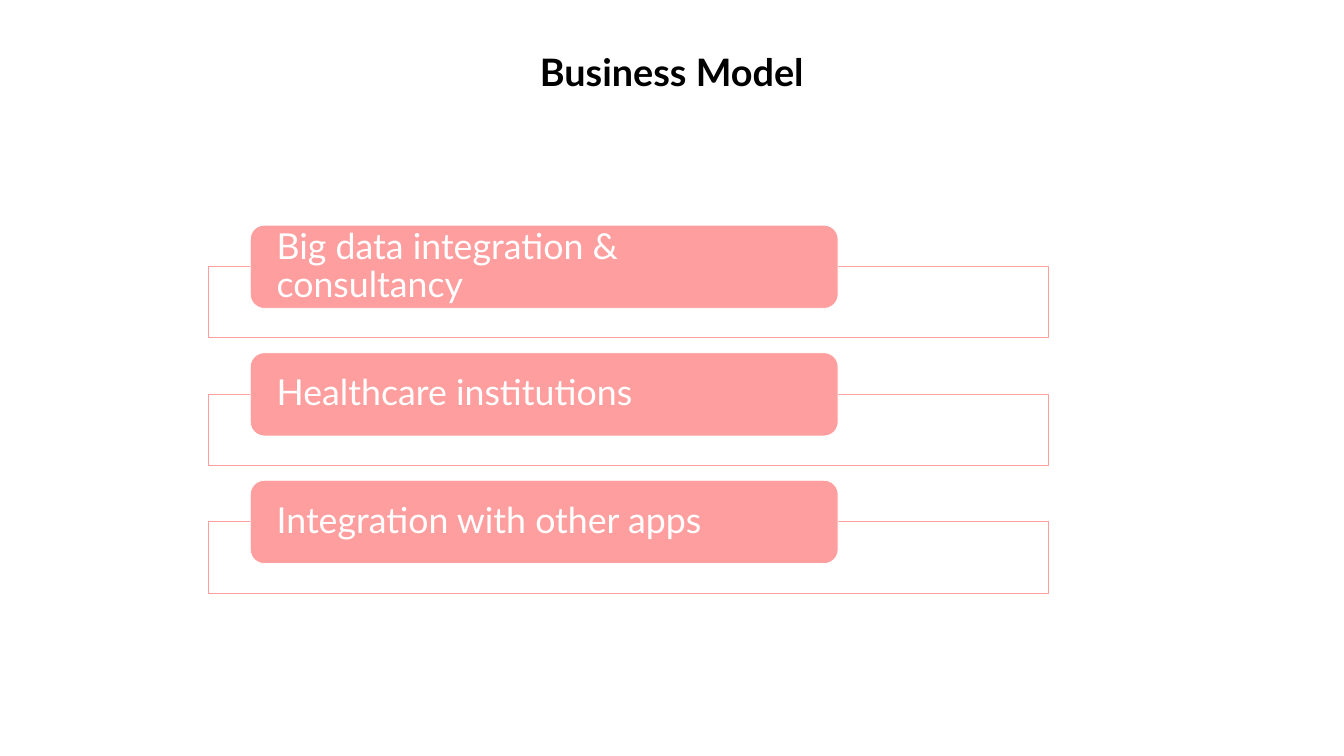
from pptx import Presentation
from pptx.dml.color import RGBColor
from pptx.enum.shapes import MSO_SHAPE
from pptx.enum.text import MSO_ANCHOR, PP_ALIGN
from pptx.util import Cm, Pt

PINK = RGBColor(0xFF, 0x9E, 0x9E)
WHITE = RGBColor(0xFF, 0xFF, 0xFF)
BLACK = RGBColor(0, 0, 0)

SOURCES = [
    "Big data integration & consultancy",
    "Healthcare institutions",
    "Integration with other apps",
]
FIRST_TOP = 11.35
ROW_PITCH = 6.43
FRAME_DROP = 2.09


def add_box(slide, kind, left, top, width, height, fill, line):
    shape = slide.shapes.add_shape(kind, Cm(left), Cm(top), Cm(width), Cm(height))
    shape.shadow.inherit = False
    shape.fill.solid()
    shape.fill.fore_color.rgb = fill
    shape.line.color.rgb = line
    shape.line.width = Pt(1)
    return shape


def set_text(paragraph, text, size, color, bold=False):
    paragraph.text = text
    paragraph.font.name = "Lato"
    paragraph.font.size = Pt(size)
    paragraph.font.bold = bold
    paragraph.font.color.rgb = color


presentation = Presentation()
presentation.slide_width = Cm(67.74)
presentation.slide_height = Cm(38.1)
slide = presentation.slides.add_slide(presentation.slide_layouts[6])

title = slide.shapes.add_textbox(Cm(1.55), Cm(2.34), Cm(64.62), Cm(2.57))
title.text_frame.word_wrap = True
paragraph = title.text_frame.paragraphs[0]
set_text(paragraph, "Business Model", 54, BLACK, bold=True)
paragraph.alignment = PP_ALIGN.CENTER

for row, source in enumerate(SOURCES):
    top = FIRST_TOP + row * ROW_PITCH
    add_box(slide, MSO_SHAPE.RECTANGLE, 10.52, top + FRAME_DROP, 42.32, 3.58, WHITE, PINK)
    label = add_box(slide, MSO_SHAPE.ROUNDED_RECTANGLE, 12.62, top, 29.62, 4.19, PINK, WHITE)
    frame = label.text_frame
    frame.word_wrap = True
    frame.vertical_anchor = MSO_ANCHOR.MIDDLE
    frame.margin_left = frame.margin_right = Cm(1.12)
    frame.margin_top = frame.margin_bottom = 0
    paragraph = frame.paragraphs[0]
    set_text(paragraph, source, 51, WHITE)
    paragraph.alignment = PP_ALIGN.LEFT
    paragraph.line_spacing = 0.9

presentation.save("out.pptx")
